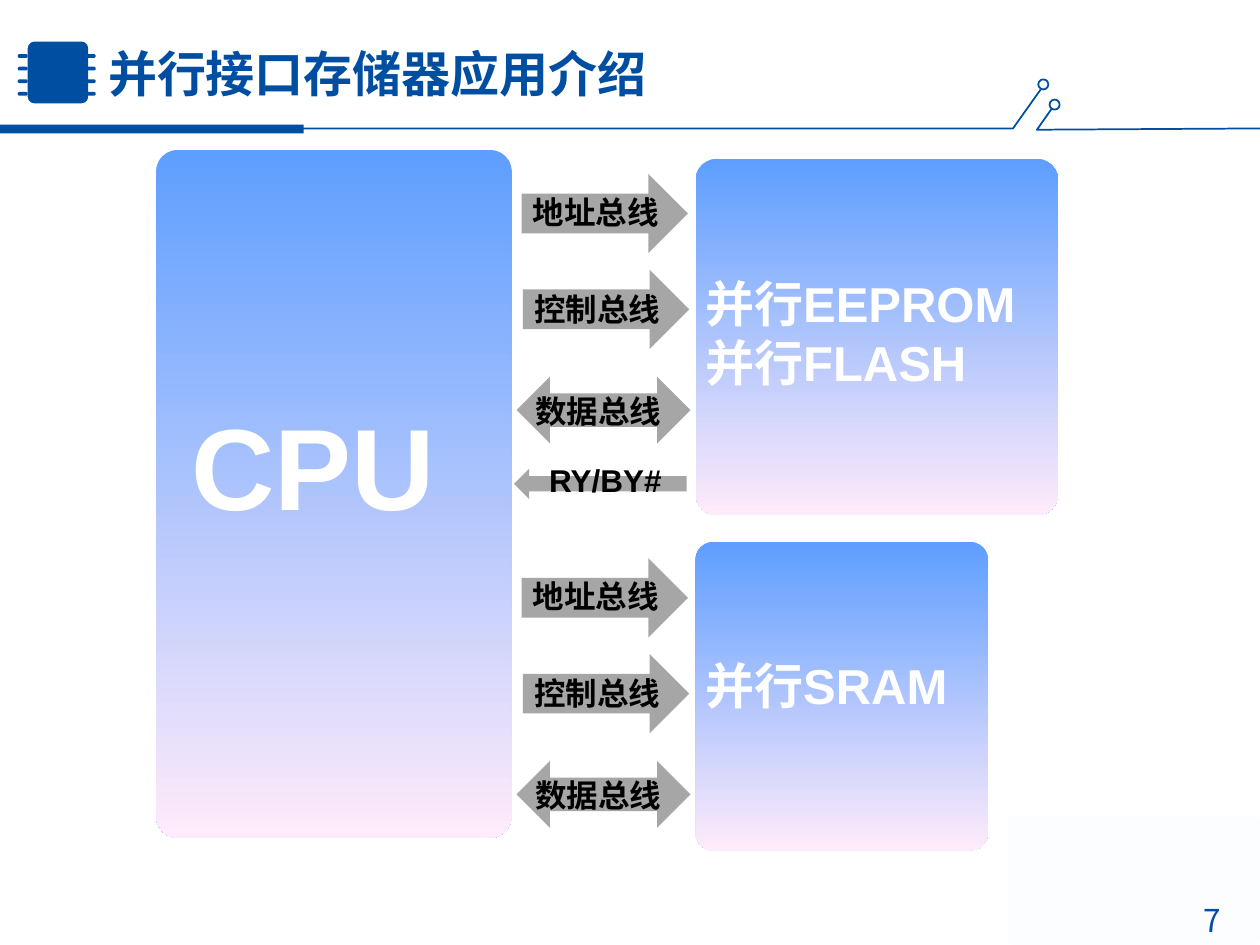
from dataclasses import dataclass

from lxml import etree
from pptx import Presentation
from pptx.dml.color import RGBColor
from pptx.enum.shapes import MSO_SHAPE
from pptx.enum.text import MSO_ANCHOR, PP_ALIGN
from pptx.oxml.ns import qn
from pptx.util import Inches, Pt

RECT = MSO_SHAPE.RECTANGLE
ROUND = MSO_SHAPE.ROUNDED_RECTANGLE
OVAL = MSO_SHAPE.OVAL
RIGHT = MSO_SHAPE.RIGHT_ARROW
LEFT = MSO_SHAPE.LEFT_ARROW
BOTH = MSO_SHAPE.LEFT_RIGHT_ARROW
MIDDLE = MSO_ANCHOR.MIDDLE
TOP = MSO_ANCHOR.TOP
FLUSH = PP_ALIGN.RIGHT
START = PP_ALIGN.LEFT


@dataclass(frozen=True)
class Theme:
    blue: str = "004EA2"
    gray: str = "A6A6A6"
    black: str = "000000"
    white: str = "FFFFFF"
    fade: tuple = ("5E9EFF", "FFEBFA")
    glow: tuple = ("FCFDFE", "FFFFFF")
    latin: str = "Arial"
    asian: str = "Noto Sans CJK SC"
    small: int = 18
    large: int = 28
    huge: int = 66


THEME = Theme()


def color(code):
    return RGBColor.from_string(code)


def add_shape(slide, kind, box, fill=None):
    shape = slide.shapes.add_shape(kind, *map(Inches, box))
    shape.shadow.inherit = False
    shape.line.fill.background()
    if fill:
        shape.fill.solid()
        shape.fill.fore_color.rgb = color(fill)
    return shape


def add_panel(slide, box, round_by, fade, angle=270):
    shape = add_shape(slide, ROUND, box)
    shape.adjustments[0] = round_by
    shape.fill.gradient()
    shape.fill.gradient_angle = angle
    for stop, code, place in zip(shape.fill.gradient_stops, fade, (0, 1)):
        stop.color.rgb = color(code)
        stop.position = place
    return shape


def outline(shape):
    shape.fill.background()
    shape.line.color.rgb = color(THEME.blue)
    shape.line.width = Pt(1)


def add_trace(slide, points):
    spots = [(Inches(x), Inches(y)) for x, y in points]
    path = slide.shapes.build_freeform(*spots[0])
    path.add_line_segments(spots[1:], close=False)
    shape = path.convert_to_shape()
    shape.shadow.inherit = False
    outline(shape)


def add_text(slide, box, text, size, code, face=THEME.latin, bold=True,
             align=START, anchor=TOP):
    frame = slide.shapes.add_textbox(*map(Inches, box)).text_frame
    frame.word_wrap = True
    frame.vertical_anchor = anchor
    para = frame.paragraphs[0]
    para.text = text
    para.alignment = align
    font = para.font
    font.size = Pt(size)
    font.bold = bold
    font.name = face
    font.color.rgb = color(code)
    props = para._p.get_or_add_pPr().find(qn("a:defRPr"))
    etree.SubElement(props, qn("a:ea")).set("typeface", THEME.asian)


def add_chip(slide):
    body = add_shape(slide, ROUND, (0.22, 0.33, 0.48, 0.49), THEME.blue)
    body.adjustments[0] = 0.11
    for left in (0.14, 0.68):
        for row in range(4):
            pin = add_shape(slide, ROUND, (left, 0.43 + row * 0.1, 0.08, 0.03),
                            THEME.blue)
            pin.adjustments[0] = 0.5


def add_header(slide):
    add_shape(slide, RECT, (0, 0.99, 2.41, 0.07), THEME.blue)
    add_trace(slide, [(8.26, 0.71), (8.04, 1.02), (1.26, 1.02)])
    add_trace(slide, [(8.35, 0.86), (8.23, 1.03), (10, 1.02)])
    for left, top in ((8.24, 0.63), (8.33, 0.79)):
        outline(add_shape(slide, OVAL, (left, top, 0.08, 0.08)))
    add_chip(slide)
    add_text(slide, (0.76, 0.16, 8.07, 0.84), "并行接口存储器应用介绍",
             THEME.large, THEME.blue, THEME.asian, anchor=MIDDLE)


def add_bus(slide, kind, box, text, left, top):
    add_shape(slide, kind, box, THEME.gray)
    add_text(slide, (left, top, 1.29, 0.4), text, THEME.small, THEME.black)


def add_buses(slide, top):
    add_bus(slide, RIGHT, (4.14, top, 1.32, 0.63), "地址总线", 4.13, top + 0.1)
    add_bus(slide, RIGHT, (4.15, top + 0.76, 1.32, 0.63), "控制总线",
            4.14, top + 0.87)
    add_bus(slide, BOTH, (4.1, top + 1.61, 1.38, 0.53), "数据总线",
            4.15, top + 1.68)


def main():
    deck = Presentation()
    deck.slide_width = Inches(10)
    deck.slide_height = Inches(7.5)
    slide = deck.slides.add_slide(deck.slide_layouts[6])

    corner = add_panel(slide, (8, 6.47, 2, 1.03), 0.045, THEME.glow, 300)
    corner.rotation = 180
    add_header(slide)
    add_text(slide, (8.75, 7.1, 1.04, 0.4), "7", THEME.small, THEME.blue,
             THEME.asian, bold=False, align=FLUSH)

    blocks = [
        ((1.24, 1.19, 2.82, 5.46), (1.42, 3.09, 2.2, 1.2), "CPU", THEME.huge),
        ((5.52, 1.26, 2.88, 2.83), (5.5, 2.12, 2.93, 1.04),
         "并行EEPROM 并行FLASH", THEME.large),
        ((5.52, 4.3, 2.32, 2.45), (5.5, 5.15, 2.36, 0.57), "并行SRAM",
         THEME.large),
    ]
    for box, spot, text, size in blocks:
        add_panel(slide, box, 0.06, THEME.fade)
        add_text(slide, spot, text, size, THEME.white)

    for top in (1.38, 4.43):
        add_buses(slide, top)
    add_bus(slide, LEFT, (4.08, 3.72, 1.37, 0.24), "RY/BY#", 4.26, 3.61)
    deck.save("out.pptx")


if __name__ == "__main__":
    main()
